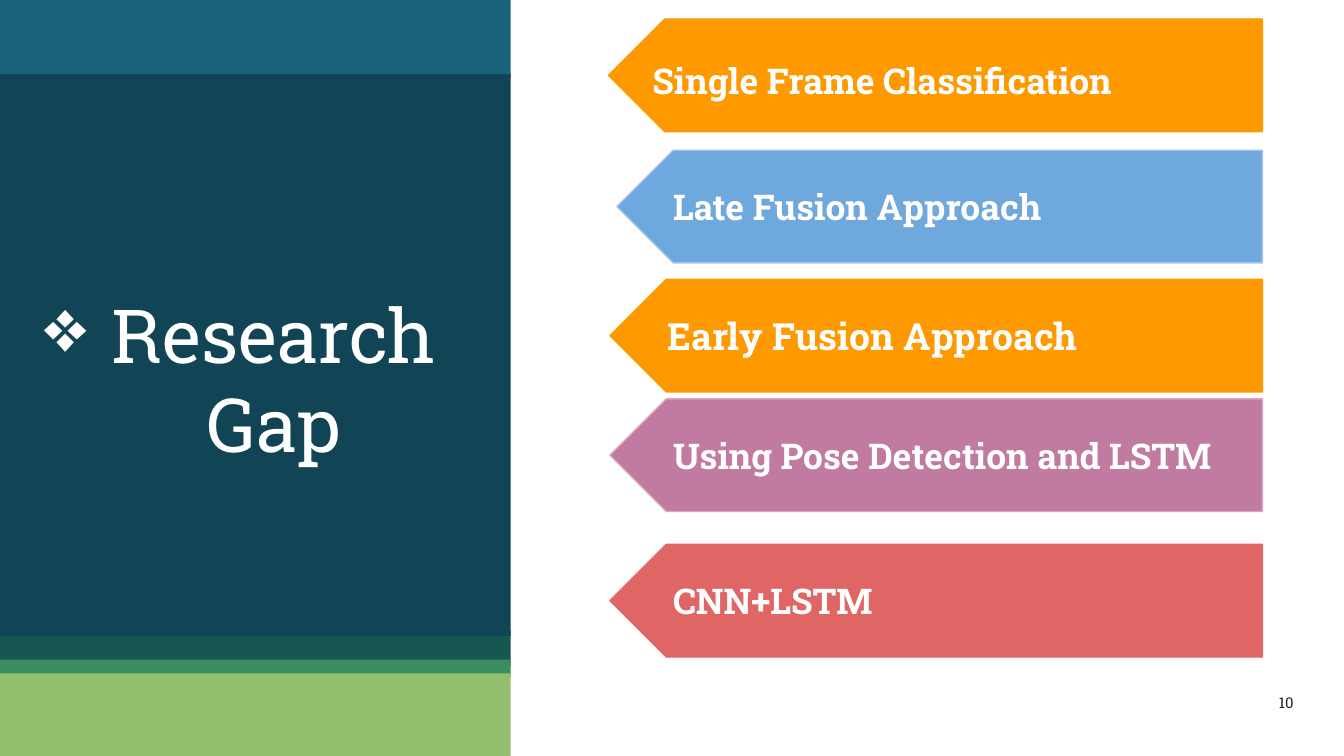
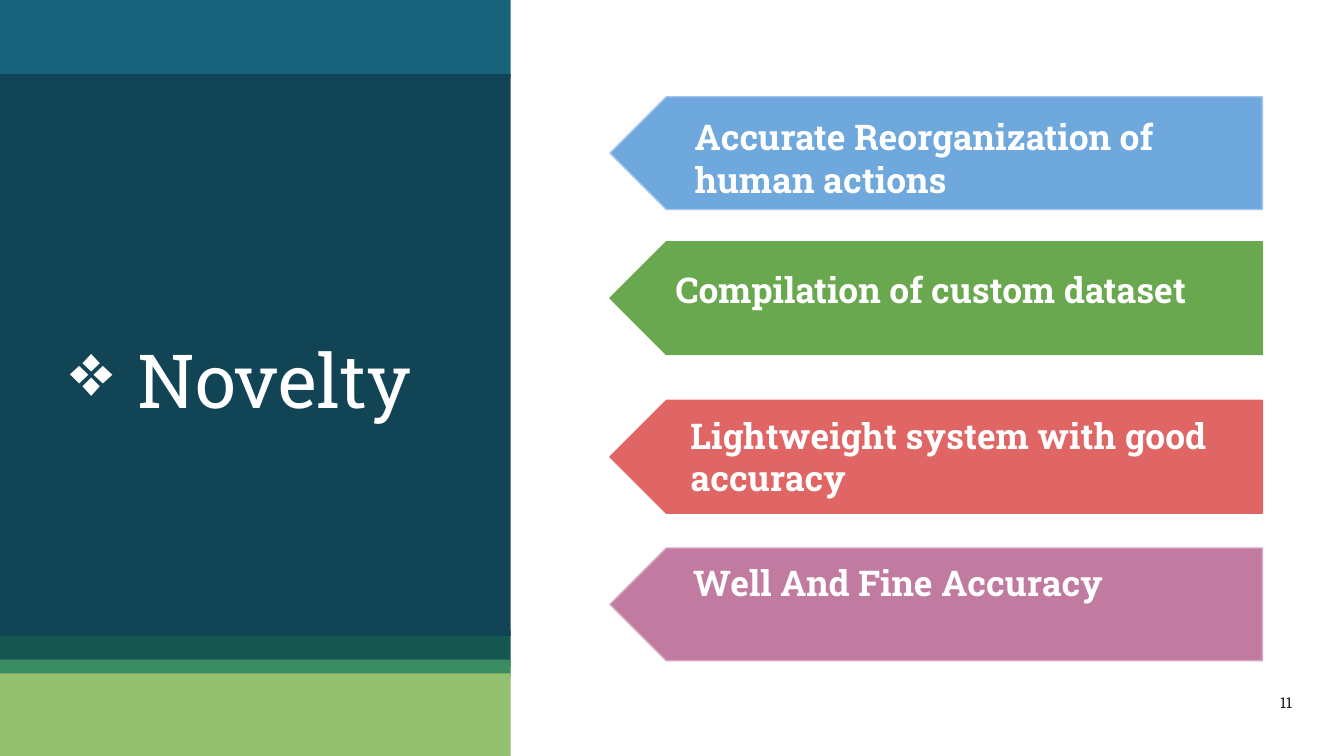
"""Build two slides that pair a banded title panel with arrow-shaped points."""
import dataclasses

import lxml.etree
import pptx
import pptx.dml.color
import pptx.enum.shapes
import pptx.enum.text
import pptx.oxml.ns
import pptx.util

Cm = pptx.util.Cm
Align = pptx.enum.text.PP_ALIGN
Anchor = pptx.enum.text.MSO_ANCHOR
Preset = pptx.enum.shapes.MSO_SHAPE


@dataclasses.dataclass(frozen=True)
class Theme:
    """Colours, font and type sizes shared by the slides."""

    font: str = "Roboto Slab"
    title_size: int = 40
    label_size: int = 19
    number_size: int = 8
    white: str = "FFFFFF"
    ink: str = "222222"
    navy: str = "114454"
    teal: str = "18637B"
    pine: str = "165751"
    green: str = "3B8D61"
    lime: str = "94BF6E"
    orange: tuple = ("FF9900", "FF9900")
    blue: tuple = ("6FA8DC", "A4C2F4")
    mauve: tuple = ("C27BA0", "D5A6BD")
    red: tuple = ("E06666", "E06666")
    leaf: tuple = ("6AA84F", "6AA84F")


@dataclasses.dataclass(frozen=True)
class Box:
    """A rectangle in centimetres."""

    left: float
    top: float
    width: float
    height: float

    def inside(self, left, top, width, height):
        """Return a box placed relative to this one."""
        return Box(self.left + left, self.top + top, width, height)

    def lengths(self):
        """Return position and size as slide lengths."""
        return [Cm(value) for value in (self.left, self.top, self.width, self.height)]


@dataclasses.dataclass(frozen=True)
class Point:
    """An arrow with its label and the label's offset from the arrow."""

    text: str
    colours: tuple
    top: float
    label_left: float = 0.94
    label_top: float = 0.41
    lines: int = 1
    left: float = 11.53
    size: int = 0


THEME = Theme()
SLIDE = Box(0, 0, 25.4, 14.29)
PANEL = Box(0, 0, 9.65, 14.29)
NUMBER = Box(23.55, 12.95, 1.52, 1.09)
ARROW_RIGHT = 23.86
ARROW_HEIGHT = 2.13
LABEL_WIDTH = 11.4
INSET = 0.25

BANDS = [
    (11.91, 0.69, THEME.pine),
    (0, 1.47, THEME.teal),
    (1.4, 10.62, THEME.navy),
    (12.47, 0.33, THEME.green),
    (12.73, 1.56, THEME.lime),
]

SLIDES = [
    ("Research Gap", "10", [
        Point("Single Frame Classification", THEME.orange, 0.36, 0.58, 0.51, left=11.5),
        Point("Late Fusion Approach", THEME.blue, 2.84, 0.81, left=11.66),
        Point("Early Fusion Approach", THEME.orange, 5.28, size=20),
        Point("Using Pose Detection and LSTM", THEME.mauve, 7.54),
        Point("CNN+LSTM", THEME.red, 10.29),
    ]),
    ("Novelty", "11", [
        Point("Accurate Reorganization of human actions", THEME.blue, 1.83, 1.35, 0.1, 2),
        Point("Compilation of custom dataset", THEME.leaf, 4.57, 0.99, 0.25),
        Point("Lightweight system with good accuracy", THEME.red, 7.57, 1.27, 0, 2),
        Point("Well And Fine Accuracy", THEME.mauve, 10.36, 1.32, 0),
    ]),
]


def rgb(value):
    """Turn a hexadecimal string into a colour."""
    return pptx.dml.color.RGBColor.from_string(value)


def add_filled(slide, preset, box, fill, line=None):
    """Add a flat preset shape with an optional outline."""
    shape = slide.shapes.add_shape(preset, *box.lengths())
    shape.shadow.inherit = False
    shape.fill.solid()
    shape.fill.fore_color.rgb = rgb(fill)
    if line:
        shape.line.color.rgb = rgb(line)
        shape.line.width = pptx.util.Pt(0.75)
    else:
        shape.line.fill.background()
    return shape


def write(shape, text, size, colour, bold=False, align=Align.LEFT, anchor=Anchor.TOP):
    """Write one run into a shape and return its paragraph."""
    frame = shape.text_frame
    frame.word_wrap = True
    frame.vertical_anchor = anchor
    frame.margin_left = frame.margin_right = Cm(INSET)
    frame.margin_top = frame.margin_bottom = Cm(INSET)
    paragraph = frame.paragraphs[0]
    paragraph.alignment = align
    run = paragraph.add_run()
    run.text = text
    run.font.name = THEME.font
    run.font.size = pptx.util.Pt(size)
    run.font.bold = bold
    run.font.color.rgb = rgb(colour)
    return paragraph


def add_bullet(paragraph, character, colour, indent):
    """Give a paragraph a coloured bullet with a hanging indent."""
    name = pptx.oxml.ns.qn
    properties = paragraph._p.get_or_add_pPr()
    properties.set("marL", str(indent))
    properties.set("indent", str(-indent))
    bullet_colour = lxml.etree.SubElement(properties, name("a:buClr"))
    lxml.etree.SubElement(bullet_colour, name("a:srgbClr"), val=colour)
    lxml.etree.SubElement(properties, name("a:buChar"), char=character)


def draw_panel(slide, box, title):
    """Draw the coloured bands and the bulleted title."""
    for top, height, colour in BANDS:
        add_filled(slide, Preset.RECTANGLE, box.inside(0, top, box.width, height), colour)
    area = box.inside(0.53, 4.09, 8.03, 6.12)
    shape = slide.shapes.add_textbox(*area.lengths())
    paragraph = write(shape, title, THEME.title_size, THEME.white,
                      align=Align.CENTER, anchor=Anchor.MIDDLE)
    add_bullet(paragraph, "❖", THEME.white, Cm(1.27))


def draw_point(slide, box, point):
    """Draw a left-facing arrow and its label."""
    arrow = add_filled(slide, Preset.PENTAGON, box, *point.colours)
    arrow.element.spPr.xfrm.set("flipH", "1")
    if point.size:
        write(arrow, point.text, point.size, THEME.white, True, anchor=Anchor.MIDDLE)
        arrow.text_frame.margin_left = Cm(0.56)
        return
    height = 1.32 if point.lines == 1 else 2.13
    area = box.inside(point.label_left, point.label_top, LABEL_WIDTH, height)
    label = slide.shapes.add_textbox(*area.lengths())
    write(label, point.text, THEME.label_size, THEME.white, True)
    label.text_frame.auto_size = pptx.enum.text.MSO_AUTO_SIZE.SHAPE_TO_FIT_TEXT


def draw_number(slide, box, number):
    """Write the slide number."""
    shape = slide.shapes.add_textbox(*box.lengths())
    write(shape, number, THEME.number_size, THEME.ink, align=Align.CENTER)


def build_slide(presentation, title, number, points):
    """Add one slide with its panel, points and number."""
    slide = presentation.slides.add_slide(presentation.slide_layouts[6])
    draw_panel(slide, PANEL, title)
    for point in points:
        box = Box(point.left, point.top, ARROW_RIGHT - point.left, ARROW_HEIGHT)
        draw_point(slide, box, point)
    draw_number(slide, NUMBER, number)


def main():
    """Build and save the presentation."""
    presentation = pptx.Presentation()
    presentation.slide_width = Cm(SLIDE.width)
    presentation.slide_height = Cm(SLIDE.height)
    for title, number, points in SLIDES:
        build_slide(presentation, title, number, points)
    presentation.save("out.pptx")


if __name__ == "__main__":
    main()
